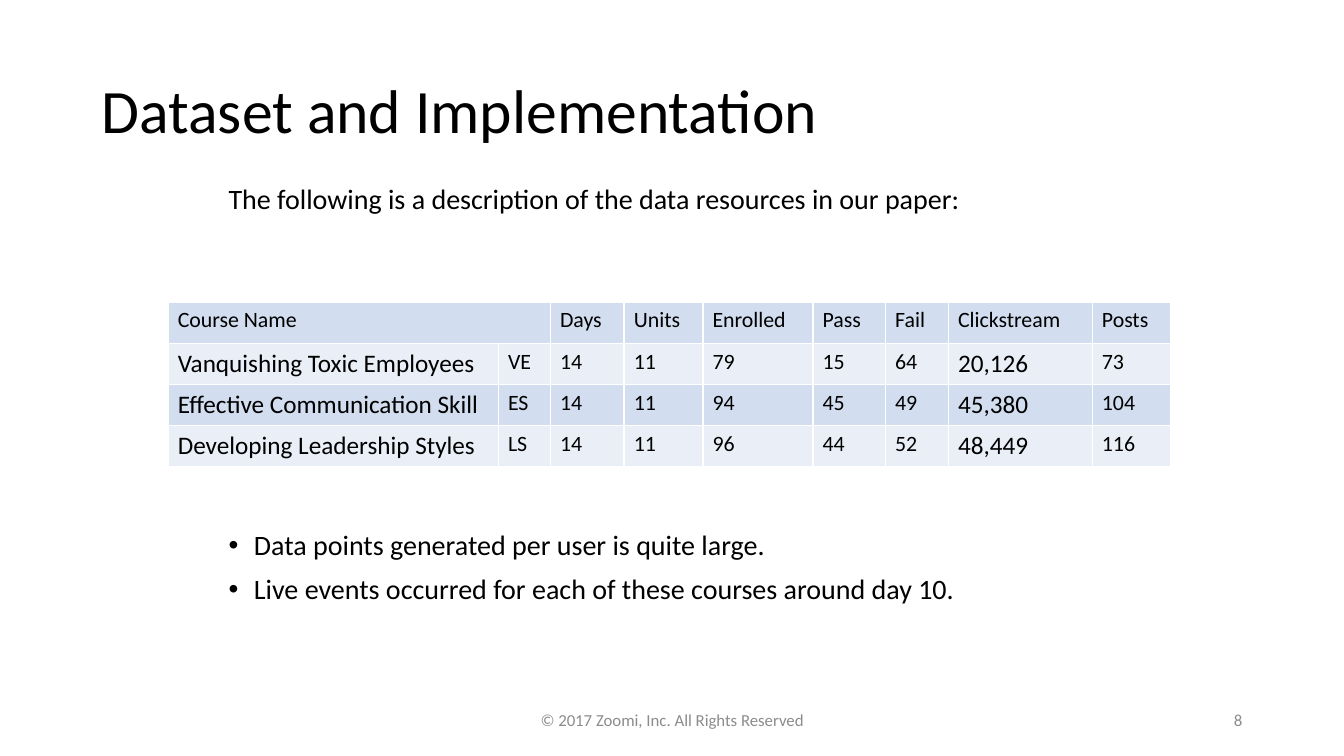
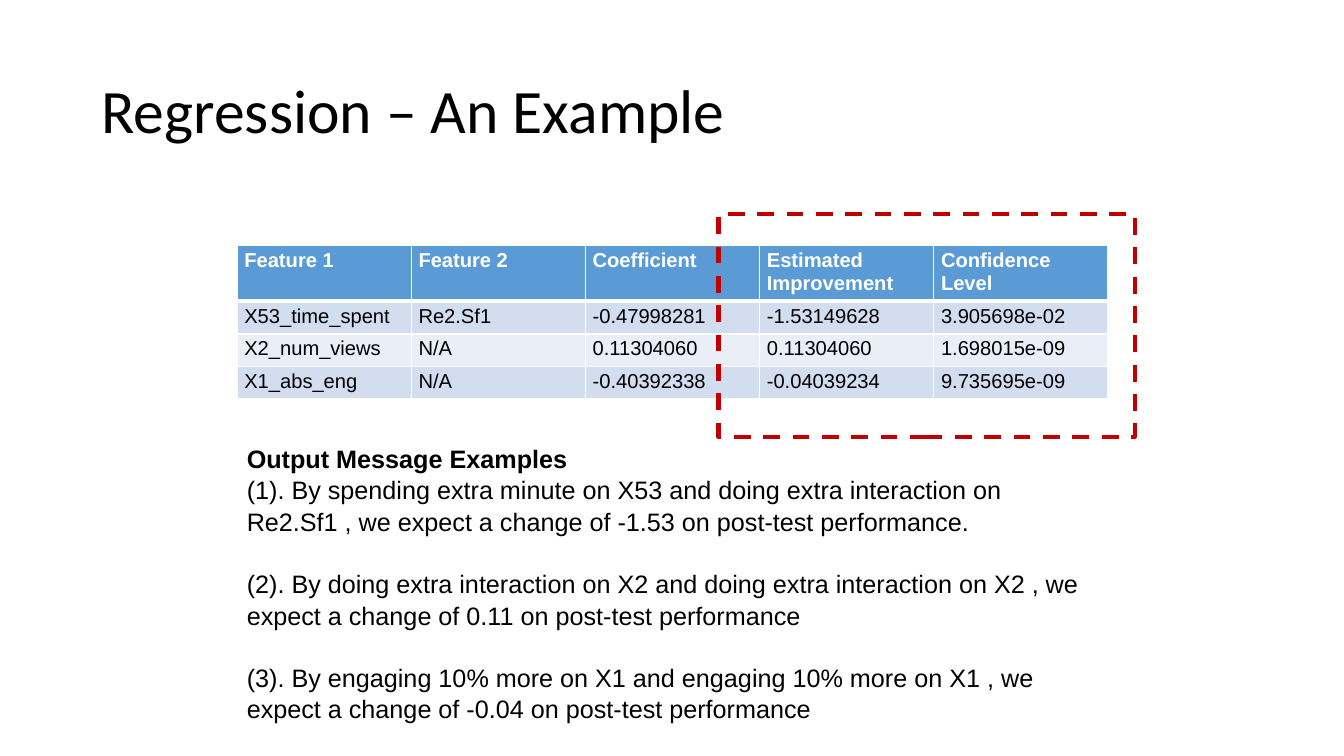
"""Build two slides on a course data set and a regression example."""
from lxml import etree
from pptx import Presentation
from pptx.dml.color import RGBColor
from pptx.enum.dml import MSO_LINE
from pptx.enum.shapes import MSO_SHAPE
from pptx.enum.text import MSO_ANCHOR, PP_ALIGN
from pptx.oxml.ns import qn
from pptx.util import Inches, Pt

RECTANGLE = MSO_SHAPE.RECTANGLE
DASH = MSO_LINE.DASH
TOP, MIDDLE = MSO_ANCHOR.TOP, MSO_ANCHOR.MIDDLE
LEFT, CENTER, RIGHT = PP_ALIGN.LEFT, PP_ALIGN.CENTER, PP_ALIGN.RIGHT

BLACK = RGBColor(0x00, 0x00, 0x00)
WHITE = RGBColor(0xFF, 0xFF, 0xFF)
GREY = RGBColor(0x8C, 0x8C, 0x8C)
HEADER_BLUE = RGBColor(0x5B, 0x9B, 0xD5)
BANDS = (RGBColor(0xD2, 0xDE, 0xEF), RGBColor(0xEA, 0xEF, 0xF7))
RED = RGBColor(0xC0, 0x00, 0x00)

HEADING_FONT = "Calibri"
PLAIN_FONT = "Arial"

COURSES = [
    ["Course Name", "", "Days", "Units", "Enrolled", "Pass", "Fail", "Clickstream", "Posts"],
    ["Vanquishing Toxic Employees", "VE", "14", "11", "79", "15", "64", "20,126", "73"],
    ["Effective Communication Skill", "ES", "14", "11", "94", "45", "49", "45,380", "104"],
    ["Developing Leadership Styles", "LS", "14", "11", "96", "44", "52", "48,449", "116"],
]
COURSE_WIDTHS = [2.73, 0.43, 0.61, 0.65, 0.91, 0.6, 0.52, 1.19, 0.65]
LARGE_COLUMNS = (0, 7)

FEATURES = [
    ["Feature 1", "Feature 2", "Coefficient", "Estimated Improvement", "Confidence Level"],
    ["X53_time_spent", "Re2.Sf1", "-0.47998281", "-1.53149628", "3.905698e-02"],
    ["X2_num_views", "N/A", "0.11304060", "0.11304060", "1.698015e-09"],
    ["X1_abs_eng", "N/A", "-0.40392338", "-0.04039234", "9.735695e-09"],
]

MESSAGES = [
    "Output Message Examples",
    "(1). By spending extra minute on X53 and doing extra interaction on Re2.Sf1 , "
    "we expect a change of -1.53 on post-test performance.",
    "(2). By doing extra interaction on X2 and doing extra interaction on X2 , "
    "we expect a change of 0.11 on post-test performance",
    "(3). By engaging 10% more on X1 and engaging 10% more on X1 , "
    "we expect a change of -0.04 on post-test performance",
]


def style_runs(paragraph, size, font=HEADING_FONT, color=BLACK, bold=False):
    for run in paragraph.runs:
        run.font.size = Pt(size)
        run.font.name = font
        run.font.color.rgb = color
        run.font.bold = bold


def set_margins(target, side, edge):
    target.margin_left = target.margin_right = Inches(side)
    target.margin_top = target.margin_bottom = Inches(edge)


def add_text(slide, box, lines, size, font=HEADING_FONT, color=BLACK,
             align=LEFT, anchor=TOP, spacing=1.0):
    text_frame = slide.shapes.add_textbox(*map(Inches, box)).text_frame
    text_frame.word_wrap = True
    text_frame.vertical_anchor = anchor
    set_margins(text_frame, 0.08, 0.04)
    text_frame.text = "\n".join(lines)
    for paragraph in text_frame.paragraphs:
        paragraph.alignment = align
        paragraph.line_spacing = spacing
        style_runs(paragraph, size, font, color)
    return text_frame.paragraphs


def add_title(slide, title):
    add_text(slide, (0.76, 0.33, 9.58, 1.21), [title], 36.7, anchor=MIDDLE, spacing=0.9)


def add_footer(slide, notice, number):
    add_text(slide, (3.68, 5.79, 3.75, 0.33), [notice], 10, color=GREY,
             align=CENTER, anchor=MIDDLE)
    add_text(slide, (7.85, 5.79, 2.5, 0.33), [number], 10, color=GREY,
             align=RIGHT, anchor=MIDDLE)


def add_bullets(slide, box, lines, size):
    paragraphs = add_text(slide, box, lines, size, spacing=0.9)
    for index, paragraph in enumerate(paragraphs):
        properties = paragraph._p.get_or_add_pPr()
        properties.set("marL", str(Inches(0.21)))
        properties.set("indent", str(-Inches(0.21)))
        etree.SubElement(properties, qn("a:buFont"), typeface=PLAIN_FONT)
        etree.SubElement(properties, qn("a:buChar"), char="•")
        if index:
            paragraph.space_before = Pt(8.3)


def set_borders(cell, bottom_width):
    properties = cell._tc.get_or_add_tcPr()
    widths = {"lnL": 1, "lnR": 1, "lnT": 1, "lnB": bottom_width}
    for side, width in widths.items():
        line = etree.SubElement(properties, qn(f"a:{side}"), w=str(Pt(width)))
        fill = etree.SubElement(line, qn("a:solidFill"))
        etree.SubElement(fill, qn("a:srgbClr"), val=str(WHITE))


def add_table(slide, left, top, widths, heights, rows, margins, size, font,
              header=False, large_columns=(), large_size=None):
    box = (left, top, sum(widths), sum(heights))
    frame = slide.shapes.add_table(len(rows), len(widths), *map(Inches, box))
    table = frame.table
    table.first_row = header
    for column, width in zip(table.columns, widths):
        column.width = Inches(width)
    for row_index, values in enumerate(rows):
        table.rows[row_index].height = Inches(heights[row_index])
        is_header = header and row_index == 0
        band = BANDS[(row_index - header) % 2]
        for column_index, value in enumerate(values):
            cell = table.cell(row_index, column_index)
            cell.text = value
            set_margins(cell, *margins)
            set_borders(cell, 3 if is_header else 1)
            cell.fill.solid()
            cell.fill.fore_color.rgb = HEADER_BLUE if is_header else band
            is_large = row_index > 0 and column_index in large_columns
            style_runs(cell.text_frame.paragraphs[0], large_size if is_large else size,
                       font, WHITE if is_header else BLACK, is_header)
    return table


def add_dashed_frame(slide, box):
    shape = slide.shapes.add_shape(RECTANGLE, *map(Inches, box))
    shape.shadow.inherit = False
    shape.fill.background()
    shape.line.color.rgb = RED
    shape.line.width = Pt(2.5)
    shape.line.dash_style = DASH


def build_dataset_slide(slide):
    add_title(slide, "Dataset and Implementation")
    add_text(slide, (1.81, 1.46, 7.5, 0.4),
             ["The following is a description of the data resources in our paper:"], 16.7)
    table = add_table(slide, 1.39, 2.5, COURSE_WIDTHS, [0.34] * 4, COURSES, (0.08, 0.04),
                      13, HEADING_FONT, large_columns=LARGE_COLUMNS, large_size=15)
    table.cell(0, 0).merge(table.cell(0, 1))
    add_bullets(slide, (1.81, 4.35, 7.5, 0.8),
                ["Data points generated per user is quite large.",
                 "Live events occurred for each of these courses around day 10."], 16.7)
    add_footer(slide, "© 2017 Zoomi, Inc. All Rights Reserved", "8")


def build_regression_slide(slide):
    add_title(slide, "Regression – An Example")
    add_table(slide, 1.96, 2.03, [1.44] * 5, [0.46] + [0.27] * 3, FEATURES, (0.06, 0.03),
              12, PLAIN_FONT, header=True)
    paragraphs = add_text(slide, (1.96, 3.61, 7.19, 2.37), MESSAGES, 15, PLAIN_FONT,
                          spacing=1.05)
    style_runs(paragraphs[0], 15, PLAIN_FONT, bold=True)
    for paragraph in paragraphs[2:]:
        paragraph.space_before = Pt(18)
    add_dashed_frame(slide, (5.94, 1.77, 3.44, 1.84))


def main():
    presentation = Presentation()
    presentation.slide_width = Inches(11.11)
    presentation.slide_height = Inches(6.25)
    blank = presentation.slide_layouts[6]
    for build in (build_dataset_slide, build_regression_slide):
        build(presentation.slides.add_slide(blank))
    presentation.save("out.pptx")


if __name__ == "__main__":
    main()
